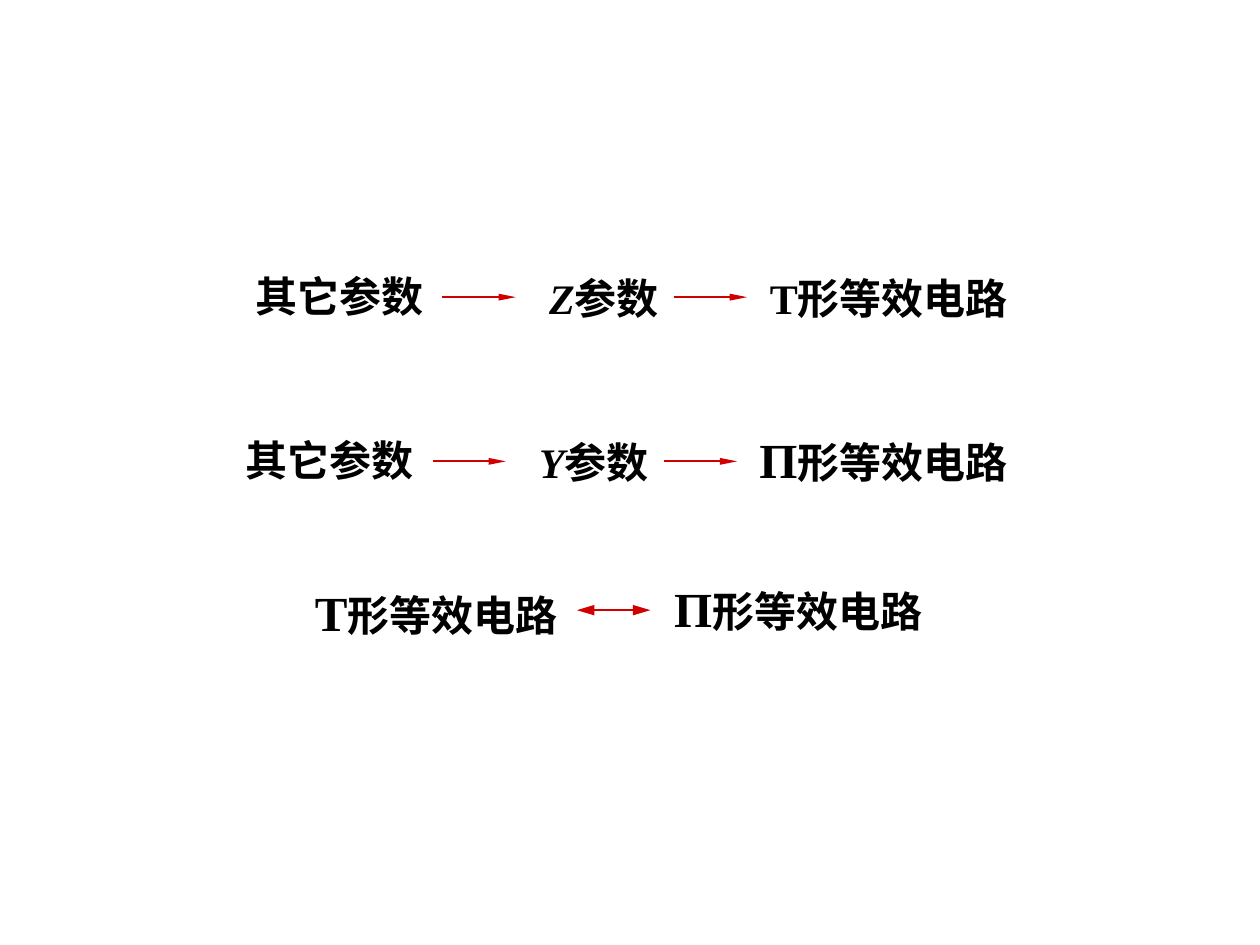
from dataclasses import dataclass

from lxml.etree import SubElement
from pptx import Presentation
from pptx.dml.color import RGBColor
from pptx.enum.shapes import MSO_CONNECTOR as Connector
from pptx.enum.text import MSO_AUTO_SIZE as AutoSize
from pptx.oxml.ns import qn
from pptx.shapes.shapetree import GroupShapes
from pptx.util import Cm, Pt

BLACK, RED = "000000", "D00000"
ARROW_LENGTH = 1.48


@dataclass
class Phrase:
    text: str
    size: int = 24
    italic: bool = False


@dataclass
class Label:
    left: float
    top: float
    width: float
    height: float
    phrases: list[Phrase]


@dataclass
class Arrow:
    left: float
    y: float
    head_width: str = "sm"
    two_way: bool = False


@dataclass
class Relation:
    labels: list[Label]
    arrows: list[Arrow]


def rgb(value: str) -> RGBColor:
    return RGBColor.from_string(value)


def add_label(shapes: GroupShapes, label: Label) -> None:
    box = shapes.add_textbox(Cm(label.left), Cm(label.top), Cm(label.width), Cm(label.height))
    frame = box.text_frame
    frame.word_wrap = True
    frame.auto_size = AutoSize.SHAPE_TO_FIT_TEXT
    for phrase in label.phrases:
        run = frame.paragraphs[0].add_run()
        run.text = phrase.text
        styles = {"name": "Times New Roman", "size": Pt(phrase.size),
                  "bold": True, "italic": phrase.italic}
        for attribute, value in styles.items():
            setattr(run.font, attribute, value)
        run.font.color.rgb = rgb(BLACK)


def add_arrow(shapes: GroupShapes, arrow: Arrow) -> None:
    connector = shapes.add_connector(Connector.STRAIGHT, Cm(arrow.left), Cm(arrow.y),
                                     Cm(arrow.left + ARROW_LENGTH), Cm(arrow.y))
    connector.line.color.rgb = rgb(RED)
    connector.line.width = Pt(1)
    properties = connector._element.spPr
    outline = properties.find(qn("a:ln"))
    for end in ("headEnd", "tailEnd") if arrow.two_way else ("tailEnd",):
        SubElement(outline, qn(f"a:{end}"), type="triangle", w=arrow.head_width, len="lg")
    SubElement(properties, qn("a:effectLst"))


def conversion(left: float, top: float, symbol: str, circuit: Label) -> Relation:
    """Other parameters lead to the symbol's parameters, then to a circuit."""
    arrow_y = top + 0.66
    return Relation(
        [Label(left, top, 4.24, 1.27, [Phrase("其它参数")]),
         Label(left + 5.92, top + 0.03, 3.18, 1.27,
               [Phrase(symbol, italic=True), Phrase("参数")]),
         circuit],
        [Arrow(left + 4.02, arrow_y), Arrow(left + 8.68, arrow_y)])


def large_circuit(left: float, top: float, letter: str) -> Label:
    return Label(left, top, 6.78, 1.45, [Phrase(letter, 28), Phrase("形等效电路")])


RELATIONS = [
    conversion(4.9, 5.33, "Z", Label(15.27, 5.36, 5.72, 1.27, [Phrase("T形等效电路")])),
    conversion(4.7, 8.64, "Y", large_circuit(15.06, 8.53, "Π")),
    Relation([large_circuit(6.1, 11.61, "T"), large_circuit(13.34, 11.53, "Π")],
             [Arrow(11.63, 12.3, head_width="med", two_way=True)]),
]


def main() -> None:
    deck = Presentation()
    deck.slide_width, deck.slide_height = Cm(25.4), Cm(19.05)
    slide = deck.slides.add_slide(deck.slide_layouts[6])
    for relation in RELATIONS:
        group = slide.shapes.add_group_shape()
        for label in relation.labels:
            add_label(group.shapes, label)
        for arrow in relation.arrows:
            add_arrow(group.shapes, arrow)
    deck.save("out.pptx")


if __name__ == "__main__":
    main()
